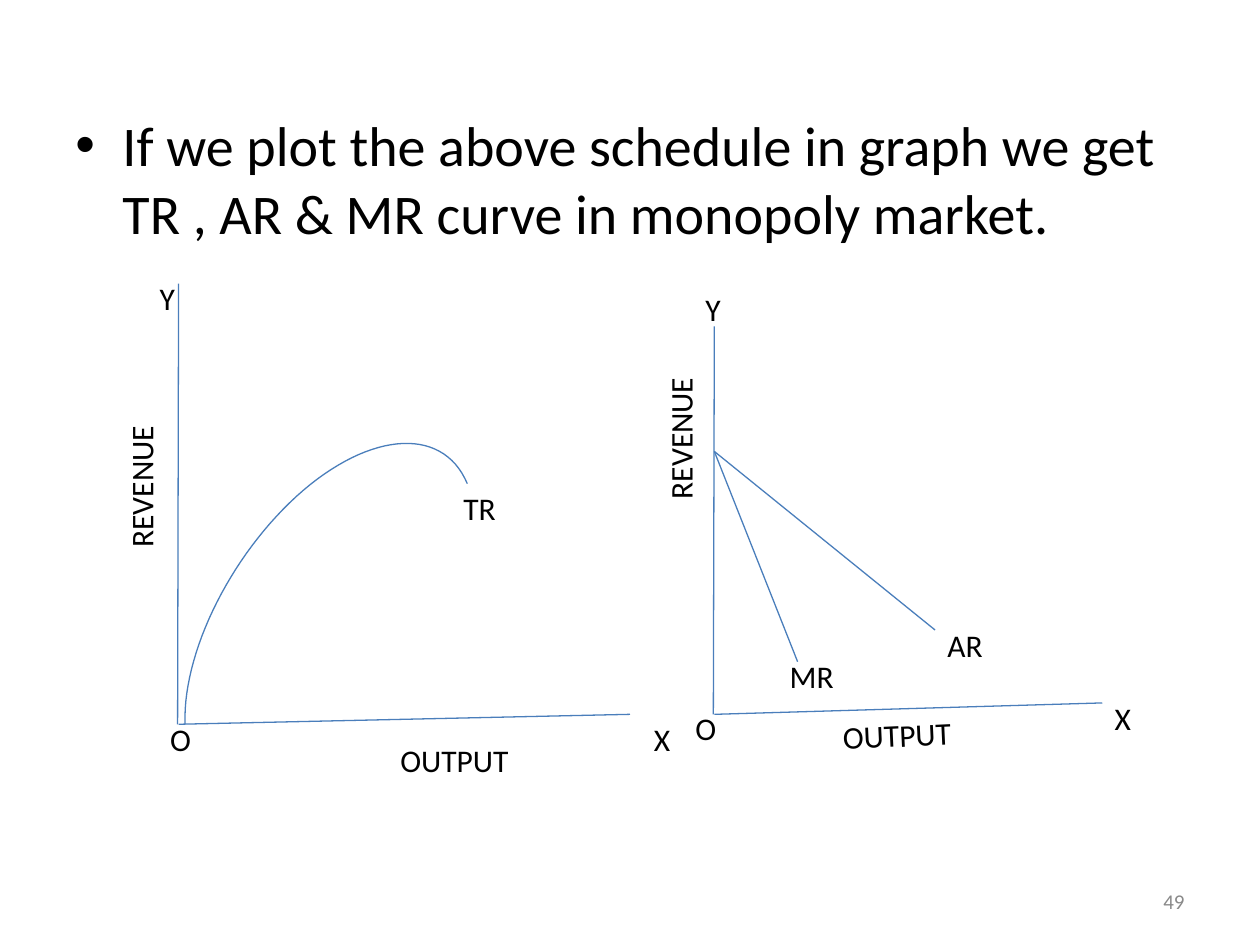
"""Build the slide with the TR, AR and MR curves of a monopoly market."""
import pptx
import pptx.util
import pptx.dml.color
import pptx.enum.shapes
import pptx.enum.text
import lxml.etree

Cm = pptx.util.Cm
Pt = pptx.util.Pt
Align = pptx.enum.text.PP_ALIGN
Fit = pptx.enum.text.MSO_AUTO_SIZE
Anchor = pptx.enum.text.MSO_ANCHOR
COLORS = {"text": "000000", "line": "4A7EBB", "page": "898989"}

deck = pptx.Presentation()
deck.slide_width, deck.slide_height = Cm(25.4), Cm(19.05)
slide = deck.slides.add_slide(deck.slide_layouts[6])
shapes = slide.shapes


def rgb(name):
    return pptx.dml.color.RGBColor.from_string(COLORS[name])


def write(text, x, y, w, h=1.02, size=18, color="text", turn=0, wrap=True,
          align=Align.LEFT, anchor=Anchor.TOP, fit=Fit.SHAPE_TO_FIT_TEXT, bullet=None):
    box = shapes.add_textbox(Cm(x), Cm(y), Cm(w), Cm(h))
    box.rotation = turn
    frame = box.text_frame
    frame.word_wrap = wrap
    frame.auto_size = fit
    frame.vertical_anchor = anchor
    para = frame.paragraphs[0]
    para.text = text
    para.alignment = align
    if bullet:
        props = para._p.get_or_add_pPr()
        props.set("marL", str(Cm(0.95)))
        props.set("indent", str(Cm(-0.95)))
        space = "{http://schemas.openxmlformats.org/drawingml/2006/main}"
        lxml.etree.SubElement(props, space + "buFont", typeface="Arial")
        lxml.etree.SubElement(props, space + "buChar", char=bullet)
    font = para.runs[0].font
    font.name = "Calibri"
    font.size = Pt(size)
    font.color.rgb = rgb(color)


write("If we plot the above schedule in graph we get TR , AR & MR curve in monopoly market.",
      1.27, 2.11, 22.86, h=14.91, size=32, fit=Fit.NONE, bullet="•")
write("49", 18.21, 17.65, 5.92, size=12, color="page", fit=Fit.NONE,
      align=Align.RIGHT, anchor=Anchor.MIDDLE)

lines = [
    (3.6, 5.72, 3.58, 14.6),
    (3.6, 14.6, 12.7, 14.4),
    (14.4, 6.58, 14.38, 14.4),
    (14.4, 14.4, 22.22, 14.17),
    (14.4, 9.1, 16.08, 13.34),
    (14.4, 9.1, 18.85, 12.7),
]
for ends in lines:
    line = shapes.add_connector(pptx.enum.shapes.MSO_CONNECTOR.STRAIGHT, *map(Cm, ends))
    line.line.color.rgb = rgb("line")
    line.line.width = Pt(0.75)
    lxml.etree.SubElement(
        line._element.spPr,
        "{http://schemas.openxmlformats.org/drawingml/2006/main}effectLst")

bends = [
    [(3.73, 14.6), (3.68, 13.11), (4.7, 11.1), (6.12, 9.88)],
    [(6.12, 9.88), (7.52, 8.69), (8.94, 8.61), (9.42, 9.75)],
]
steps = 30
dots = []
for bend in bends:
    for step in range(1, steps + 1):
        t = step / steps
        parts = [(1 - t) ** 3, 3 * t * (1 - t) ** 2, 3 * t * t * (1 - t), t ** 3]
        dots.append([Cm(sum(p * v for p, v in zip(parts, axis))) for axis in zip(*bend)])
pen = shapes.build_freeform(Cm(3.73), Cm(14.6))
pen.add_line_segments(dots, close=False)
curve = pen.convert_to_shape()
curve.shadow.inherit = False
curve.fill.background()
curve.line.color.rgb = rgb("line")
curve.line.width = Pt(0.75)

labels = [
    ("X", 22.22, 13.97, 2.11, {}),
    ("OUTPUT", 16.74, 14.27, 4.11, {"turn": 357.4}),
    ("X", 12.93, 14.4, 0.84, {"wrap": False}),
    ("Y", 2.97, 5.51, 0.74, {}),
    ("Y", 13.97, 5.72, 0.81, {"wrap": False}),
    ("O", 3.18, 14.4, 0.91, {"wrap": False}),
    ("TR", 9.09, 9.73, 1.47, {}),
    ("OUTPUT", 7.82, 14.81, 2.97, {}),
    ("REVENUE", 1.32, 9.25, 3.05, {"turn": 270}),
    ("REVENUE", 12.19, 8.28, 3.05, {"turn": 270}),
    ("MR", 15.67, 13.13, 2.03, {}),
    ("AR", 18.85, 12.5, 1.22, {"wrap": False}),
    ("O", 13.77, 14.17, 1.37, {}),
]
for text, x, y, w, style in labels:
    write(text, x, y, w, **style)

deck.save("out.pptx")
